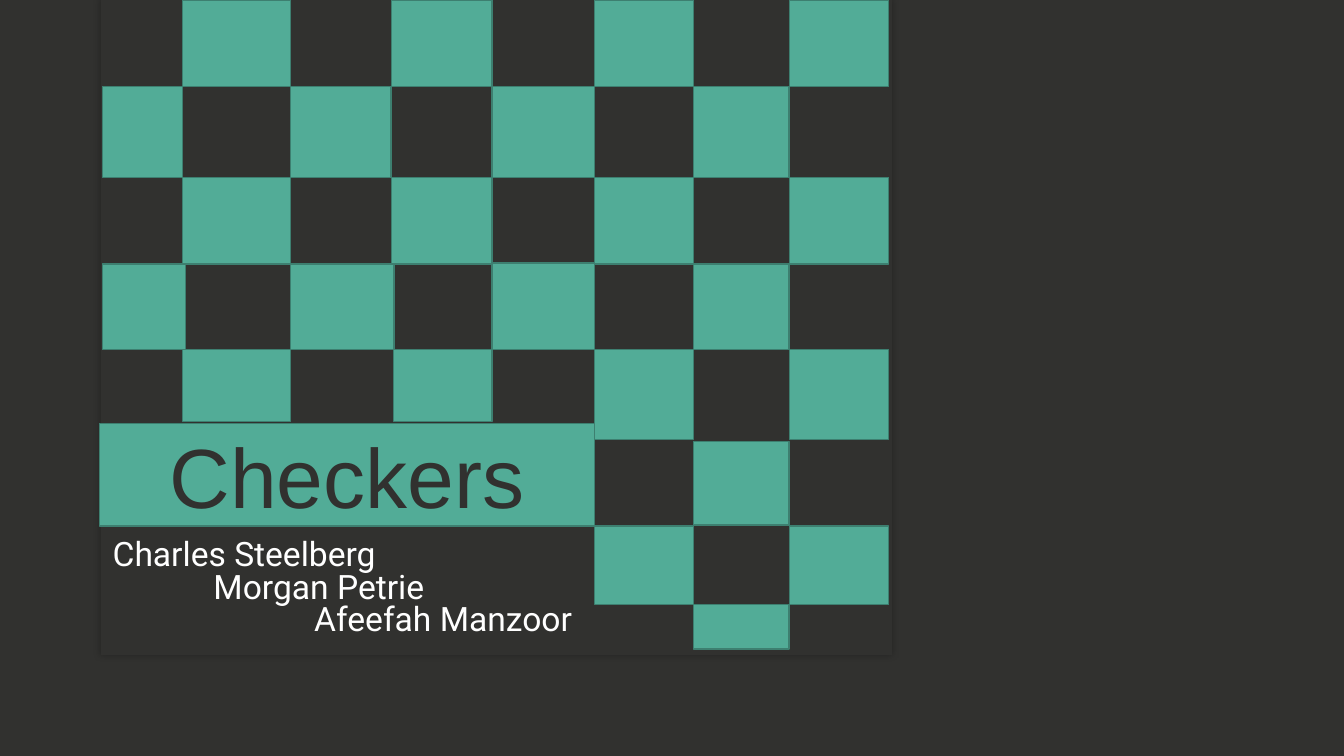
import pptx
import pptx.dml.color
import pptx.enum.shapes
import pptx.enum.text
import pptx.oxml
import pptx.oxml.ns
import pptx.util
from pptx.util import Cm

TITLE = "Checkers"
AUTHORS = ["Charles Steelberg", "Morgan Petrie", "Afeefah Manzoor"]

THEME = {
    "dark": "31312F", "green": "52AC97", "edge": "3D7F70", "white": "FFFFFF",
    "title_font": "Arial", "title_size": 60,
    "author_font": "Roboto", "author_size": 24,
    "line": 1,
}

# Board geometry in centimetres
COLUMN_EDGES = [2.59, 4.6, 7.32, 9.86, 12.4, 14.99, 17.48, 19.89, 22.4]
ROW_EDGES = [0, 2.18, 4.47, 6.65, 8.81, 11.07, 13.26, 15.24, 16.36]
FIRST_FULL_COLUMN = 5   # columns from here on run beside the title
LAST_ROW_ABOVE_TITLE = 4
ABOVE_TITLE = 10.62
# (row, column): sides that leave the grid
ADJUSTED_SIDES = {
    (3, 0): {"right": 4.67},
    (3, 2): {"right": 9.93},
    (3, 4): {"top": 6.63},
    (4, 3): {"left": 9.91},
    (5, 6): {"top": 11.13, "bottom": 13.23},
}
PANEL = (2.54, 0, 19.94, 16.51)
TITLE_BOX = (2.51, 10.67, 12.47, 2.59)
AUTHOR_BOX = (2.59, 13.51, 18.42, 2.84)
AUTHOR_STEP = 2.54


def color(name):
    return pptx.dml.color.RGBColor.from_string(THEME[name])


def add_rectangle(slide, box, fill, line=None):
    shape = slide.shapes.add_shape(
        pptx.enum.shapes.MSO_SHAPE.RECTANGLE, *map(Cm, box))
    shape.shadow.inherit = False
    shape.fill.solid()
    shape.fill.fore_color.rgb = color(fill)
    if line:
        shape.line.color.rgb = color(line)
        shape.line.width = pptx.util.Pt(THEME["line"])
    else:
        shape.line.fill.background()
    return shape


def add_soft_shadow(shape):
    effects = shape._element.spPr.find(pptx.oxml.ns.qn("a:effectLst"))
    effects.append(pptx.oxml.parse_xml(
        f'<a:outerShdw {pptx.oxml.ns.nsdecls("a")} blurRad="63500" dist="0">'
        '<a:srgbClr val="000000"><a:alpha val="25000"/></a:srgbClr>'
        '</a:outerShdw>'))


def write_text(paragraph, text, *, font, size, ink, align="LEFT",
               spacing=None, indent=0):
    paragraph.alignment = getattr(pptx.enum.text.PP_ALIGN, align)
    if spacing:
        paragraph.line_spacing = spacing
    if indent:
        paragraph._p.get_or_add_pPr().set("marL", str(Cm(indent)))
    run = paragraph.add_run()
    run.text = text
    run.font.name = THEME[font]
    run.font.size = pptx.util.Pt(THEME[size])
    run.font.color.rgb = color(ink)


def add_board(slide):
    for row in range(len(ROW_EDGES) - 1):
        for column in range(len(COLUMN_EDGES) - 1):
            beside_title = column >= FIRST_FULL_COLUMN
            if (row + column) % 2 == 0:
                continue
            if row > LAST_ROW_ABOVE_TITLE and not beside_title:
                continue
            sides = {
                "left": COLUMN_EDGES[column], "right": COLUMN_EDGES[column + 1],
                "top": ROW_EDGES[row], "bottom": ROW_EDGES[row + 1],
            }
            if row == LAST_ROW_ABOVE_TITLE and not beside_title:
                sides["bottom"] = ABOVE_TITLE
            sides.update(ADJUSTED_SIDES.get((row, column), {}))
            box = (sides["left"], sides["top"],
                   sides["right"] - sides["left"],
                   sides["bottom"] - sides["top"])
            add_rectangle(slide, box, "green", "edge")


def add_authors(slide):
    frame = slide.shapes.add_textbox(*map(Cm, AUTHOR_BOX)).text_frame
    frame.word_wrap = True
    for index, author in enumerate(AUTHORS):
        paragraph = frame.add_paragraph() if index else frame.paragraphs[0]
        write_text(paragraph, author, font="author_font", size="author_size",
                   ink="white", spacing=0.8, indent=index * AUTHOR_STEP)


def add_title(slide):
    frame = add_rectangle(slide, TITLE_BOX, "green", "edge").text_frame
    frame.word_wrap = True
    frame.vertical_anchor = pptx.enum.text.MSO_ANCHOR.MIDDLE
    write_text(frame.paragraphs[0], TITLE, font="title_font",
               size="title_size", ink="dark", align="CENTER")


def main():
    presentation = pptx.Presentation()
    presentation.slide_width = Cm(33.87)
    presentation.slide_height = Cm(19.05)
    slide = presentation.slides.add_slide(presentation.slide_layouts[6])
    slide.background.fill.solid()
    slide.background.fill.fore_color.rgb = color("dark")
    add_soft_shadow(add_rectangle(slide, PANEL, "dark"))
    add_authors(slide)
    add_board(slide)
    add_title(slide)
    presentation.save("out.pptx")


if __name__ == "__main__":
    main()
